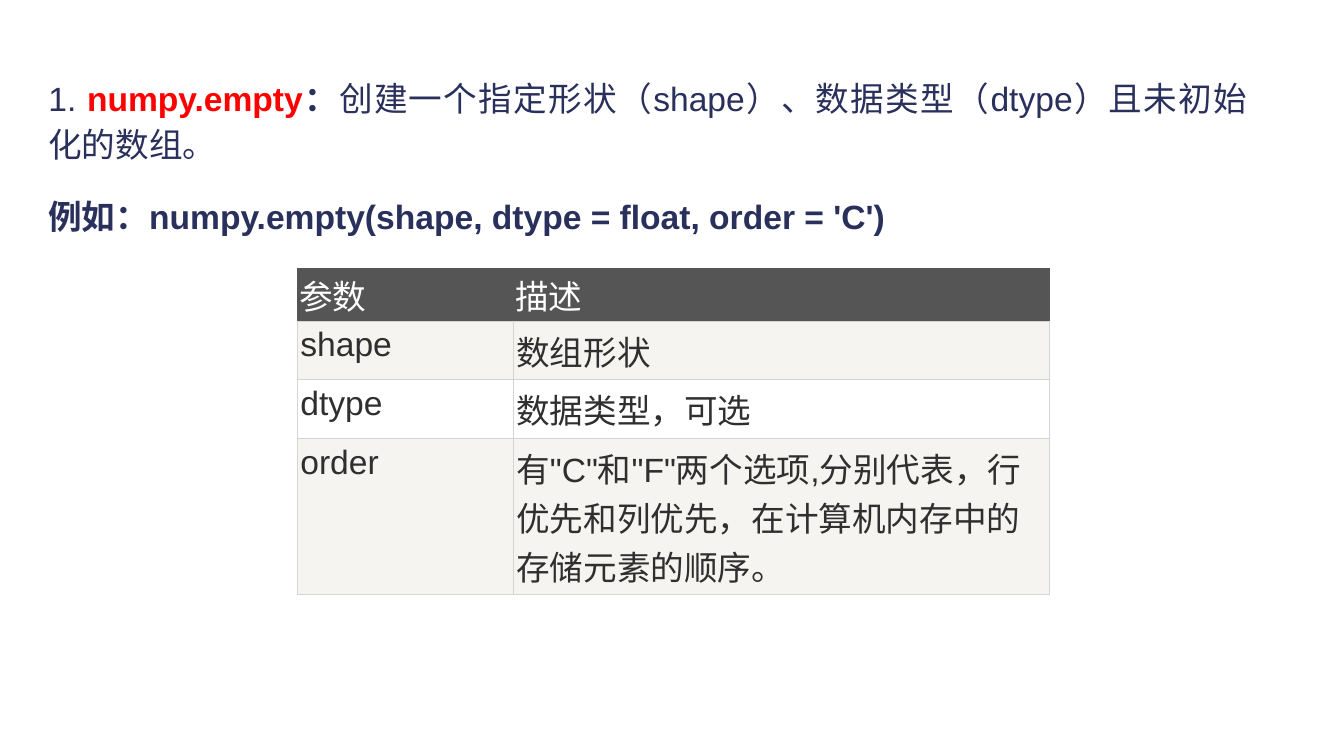
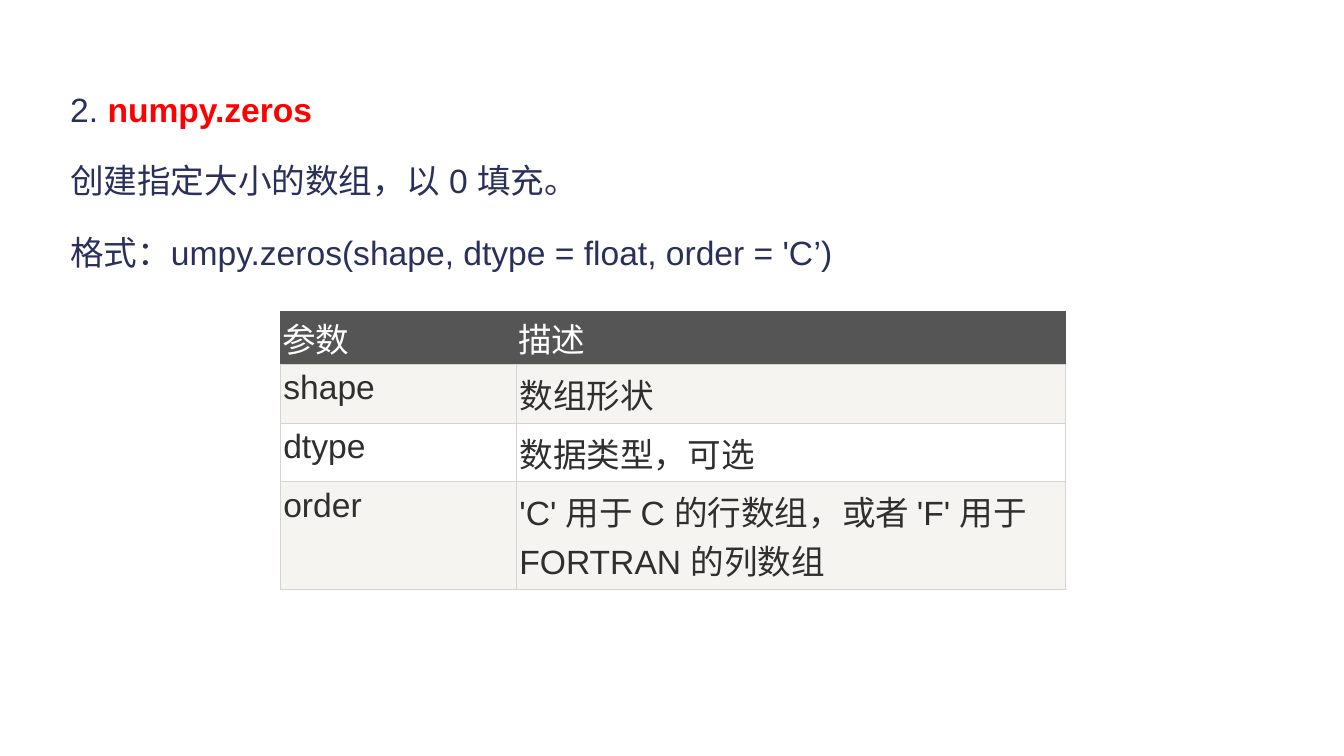
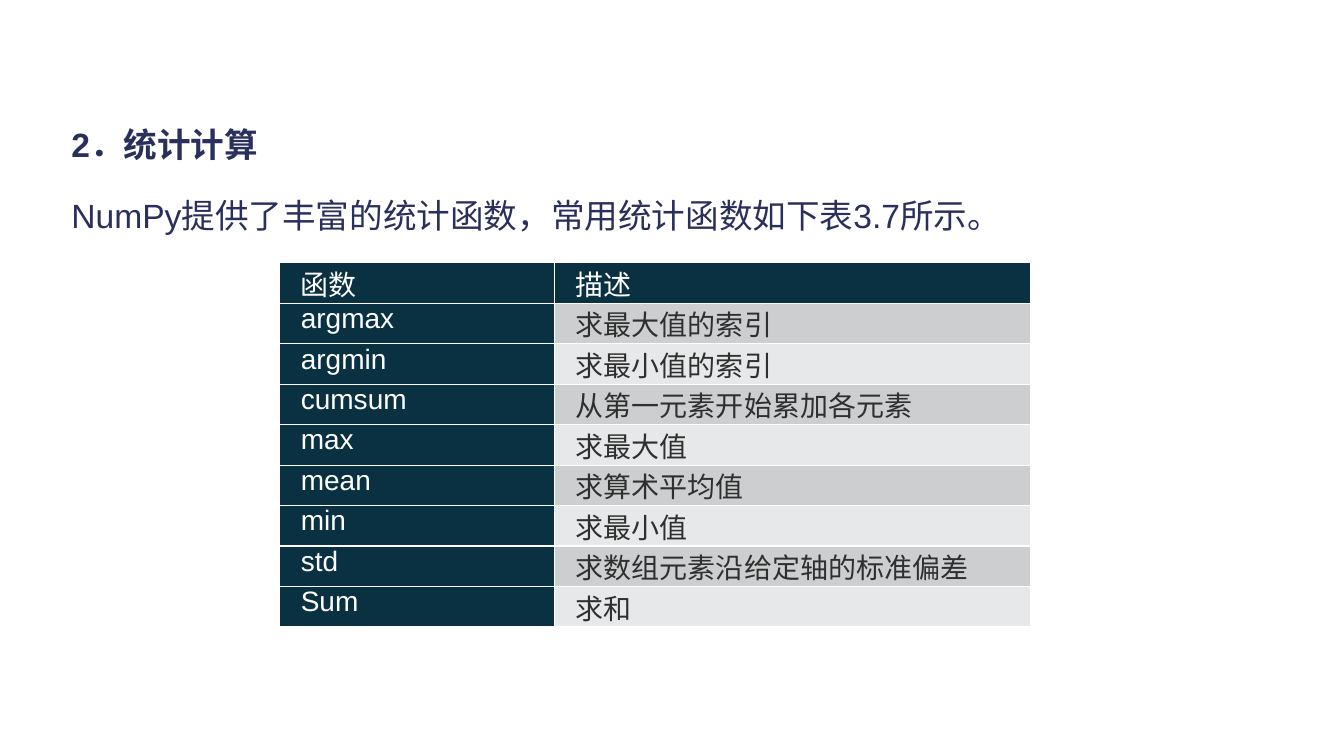
from dataclasses import dataclass

from lxml.etree import SubElement
from pptx import Presentation
from pptx.dml.color import RGBColor as Rgb
from pptx.enum.text import PP_ALIGN as Align
from pptx.oxml.ns import qn
from pptx.util import Cm, Pt

COLORS = {
    "navy": "2A305C", "red": "FF0000", "white": "FFFFFF", "ink": "2F2F2F",
    "header": "555555", "cream": "F6F4F0", "rule": "D4D4D4",
    "teal": "0A3142", "gray": "CCCECF", "pale": "E7E8E9",
}
FONT = "Arial"


@dataclass
class TableStyle:
    size: int
    header: str
    bands: tuple
    header_rule: str
    rule: str
    rule_width: float
    header_insets: tuple  # left/right, top/bottom in cm
    insets: tuple
    indent: float = 0
    dark_labels: bool = False


# Table looks
PARAMETERS = TableStyle(24, "header", ("cream", "white"), "header", "rule", 0.5,
                        (0.05, 0.05), (0.08, 0.13))
FUNCTIONS = TableStyle(20, "teal", ("gray", "pale"), "white", "white", 1,
                       (0.18, 0), (0.18, 0), indent=0.36, dark_labels=True)


class Deck:
    """Holds the shared style and the current slide."""

    def __init__(self):
        self.prs = Presentation()
        self.prs.slide_width, self.prs.slide_height = Cm(33.87), Cm(19.05)
        self.slide = None

    def new_slide(self):
        self.slide = self.prs.slides.add_slide(self.prs.slide_layouts[6])

    def style(self, paragraph, size, color, bold=False):
        font = paragraph.font
        font.name, font.size, font.bold = FONT, Pt(size), bold
        font.color.rgb = Rgb.from_string(COLORS[color])

    def body(self, left, top, paragraphs):
        """Each paragraph is a list of (text, look); look is '', 'bold' or 'key'."""
        frame = self.slide.shapes.add_textbox(
            Cm(left), Cm(top), Cm(30.71), Cm(14.43)).text_frame
        frame.word_wrap = True
        for number, parts in enumerate(paragraphs):
            paragraph = frame.add_paragraph() if number else frame.paragraphs[0]
            paragraph.alignment = Align.JUSTIFY
            paragraph.line_spacing = 1.15
            paragraph.space_before = Pt(18)
            self.style(paragraph, 24, "navy")
            properties = paragraph.font._element
            SubElement(properties, qn("a:ea"), typeface=FONT)
            for text, look in parts:
                run = paragraph.add_run()
                run.text = text
                if look:
                    run.font.bold = True
                if look == "key":
                    run.font.color.rgb = Rgb.from_string(COLORS["red"])

    def border(self, cell, color, bottom, width):
        properties = cell._tc.get_or_add_tcPr()
        for index, side in enumerate(("lnL", "lnR", "lnT", "lnB")):
            line = SubElement(properties, qn("a:" + side), w=str(Pt(width)))
            fill = SubElement(line, qn("a:solidFill"))
            SubElement(fill, qn("a:srgbClr"),
                       val=COLORS[bottom if side == "lnB" else color])
            properties.remove(line)
            properties.insert(index, line)

    def cell(self, cell, text, look, row, column):
        is_header = row == 0
        light = is_header or (look.dark_labels and column == 0)
        fill = look.header if light else look.bands[(row - 1) % 2]
        across, down = look.header_insets if is_header else look.insets
        cell.margin_left = cell.margin_right = Cm(across)
        cell.margin_top = cell.margin_bottom = Cm(down)
        cell.fill.solid()
        cell.fill.fore_color.rgb = Rgb.from_string(COLORS[fill])
        cell.text = text
        paragraph = cell.text_frame.paragraphs[0]
        self.style(paragraph, look.size, "white" if light else "ink")
        if look.indent:
            paragraph._p.get_or_add_pPr().set("indent", str(Cm(look.indent)))
        self.border(cell, look.header_rule if is_header else look.rule,
                    look.rule, look.rule_width)

    def table(self, left, top, widths, heights, rows, look):
        table = self.slide.shapes.add_table(
            len(rows), len(widths), Cm(left), Cm(top),
            Cm(sum(widths)), Cm(sum(heights))).table
        table.first_row = table.horz_banding = False
        for column, width in zip(table.columns, widths):
            column.width = Cm(width)
        for r, (height, texts) in enumerate(zip(heights, rows)):
            table.rows[r].height = Cm(height)
            for c, text in enumerate(texts):
                self.cell(table.cell(r, c), text, look, r, c)

    def parameter_table(self, left, top, widths, order_text, order_height):
        rows = [("参数", "描述"), ("shape", "数组形状"),
                ("dtype", "数据类型，可选"), ("order", order_text)]
        self.table(left, top, widths, (1.33, 1.48, 1.48, order_height),
                   rows, PARAMETERS)


def main():
    deck = Deck()

    # numpy.empty
    deck.new_slide()
    deck.body(0.97, 1.68, [
        [("1. ", ""), ("numpy.empty", "key"), ("：", "bold"),
         ("创建一个指定形状（shape）、数据类型（dtype）且未初始化的数组。", "")],
        [("例如：numpy.empty(shape, dtype = float, order = 'C')", "bold")],
    ])
    deck.parameter_table(
        7.49, 6.76, (5.44, 13.51),
        "有\"C\"和\"F\"两个选项,分别代表，行优先和列优先，在计算机内存中的存储元素的顺序。",
        3.93)

    # numpy.zeros
    deck.new_slide()
    deck.body(1.52, 1.96, [
        [("2. ", ""), ("numpy.zeros", "key")],
        [("创建指定大小的数组，以 0 填充。", "")],
        [("格式：umpy.zeros(shape, dtype = float, order = 'C’)", "")],
    ])
    deck.parameter_table(
        7.06, 7.85, (5.95, 13.83),
        "'C' 用于 C 的行数组，或者 'F' 用于 FORTRAN 的列数组", 2.71)

    # Statistics functions
    deck.new_slide()
    deck.body(1.55, 2.84, [
        [("2．统计计算", "bold")],
        [("NumPy提供了丰富的统计函数，常用统计函数如下表3.7所示。", "")],
    ])
    functions = [
        ("函数", "描述"),
        ("argmax", "求最大值的索引"),
        ("argmin", "求最小值的索引"),
        ("cumsum", "从第一元素开始累加各元素"),
        ("max", "求最大值"),
        ("mean", "求算术平均值"),
        ("min", "求最小值"),
        ("std", "求数组元素沿给定轴的标准偏差"),
        ("Sum", "求和"),
    ]
    deck.table(7.04, 6.62, (6.93, 11.99), [1.02] * len(functions),
               functions, FUNCTIONS)

    deck.prs.save("out.pptx")


if __name__ == "__main__":
    main()
